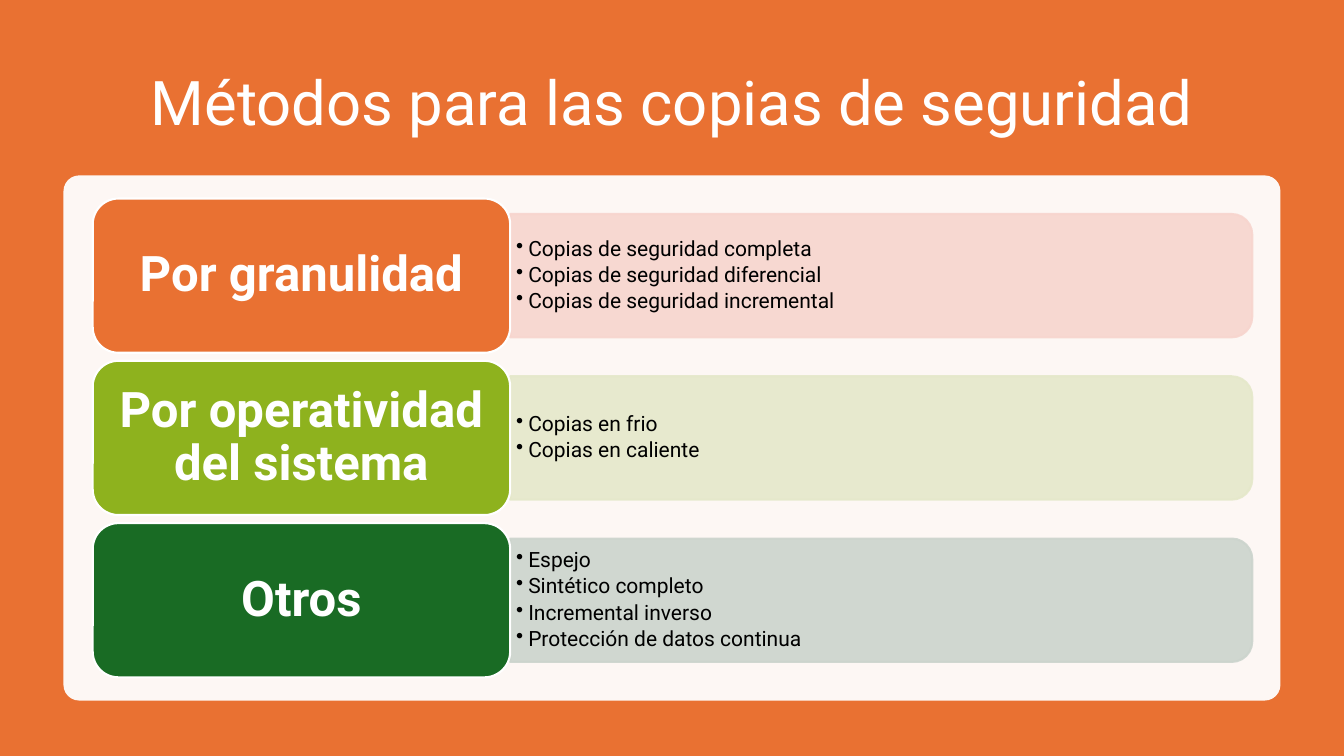
from lxml import etree
from pptx import Presentation
from pptx.dml.color import RGBColor
from pptx.enum.shapes import MSO_SHAPE
from pptx.enum.text import MSO_ANCHOR, PP_ALIGN
from pptx.oxml.ns import qn
from pptx.util import Inches, Pt

FONT = "Roboto"
WHITE = RGBColor(0xFF, 0xFF, 0xFF)
BLACK = RGBColor(0x00, 0x00, 0x00)
ORANGE = RGBColor(0xE9, 0x71, 0x32)
LIME = RGBColor(0x8E, 0xB2, 0x1E)
GREEN = RGBColor(0x19, 0x6B, 0x24)
PALE_RED = RGBColor(0xF7, 0xD5, 0xCE)
PALE_LIME = RGBColor(0xE5, 0xE8, 0xCA)
PALE_GREEN = RGBColor(0xCC, 0xD4, 0xCD)
RECT = MSO_SHAPE.RECTANGLE
ROUNDED = MSO_SHAPE.ROUNDED_RECTANGLE
ROUND_TOP = MSO_SHAPE.ROUND_2_SAME_RECTANGLE
MIDDLE = MSO_ANCHOR.MIDDLE
CENTER = PP_ALIGN.CENTER
LEFT = PP_ALIGN.LEFT

METHODS = [
    ("Por granulidad", ORANGE, PALE_RED,
     ["Copias de seguridad completa", "Copias de seguridad diferencial",
      "Copias de seguridad incremental"]),
    ("Por operatividad del sistema", LIME, PALE_LIME,
     ["Copias en frio", "Copias en caliente"]),
    ("Otros", GREEN, PALE_GREEN,
     ["Espejo", "Sintético completo", "Incremental inverso",
      "Protección de datos continua"]),
]


def set_alpha(fill_parent, percent):
    color = fill_parent.find(qn("a:solidFill"))[0]
    etree.SubElement(color, qn("a:alpha"), val=str(percent * 1000))


def add_box(slide, kind, x, y, w, h, fill, line=None, alpha=100):
    sp = slide.shapes.add_shape(kind, Inches(x), Inches(y), Inches(w), Inches(h))
    sp.shadow.inherit = False
    sp.fill.solid()
    sp.fill.fore_color.rgb = fill
    if line is None:
        sp.line.fill.background()
    else:
        sp.line.color.rgb = line
        sp.line.width = Pt(1.5)
    if alpha < 100:
        spPr = sp.fill._xPr
        set_alpha(spPr, alpha)
        if line is not None:
            set_alpha(spPr.find(qn("a:ln")), alpha)
    return sp


def write(sp, lines, size, color, align, inset_x, inset_y, bold=False, bullets=False):
    tf = sp.text_frame
    tf.word_wrap = True
    tf.vertical_anchor = MIDDLE
    tf.margin_left = tf.margin_right = Inches(inset_x)
    tf.margin_top = tf.margin_bottom = Inches(inset_y)
    tf.text = "\n".join(lines)
    for p in tf.paragraphs:
        p.alignment = align
        p.line_spacing = 0.9
        if bullets:
            p.space_after = Pt(2.6)
            pPr = p._p.get_or_add_pPr()
            pPr.set("marL", str(Inches(0.12)))
            pPr.set("indent", str(-Inches(0.12)))
            etree.SubElement(pPr, qn("a:buChar"), char="•")
        for r in p.runs:
            r.font.name = FONT
            r.font.size = Pt(size)
            r.font.bold = bold
            r.font.color.rgb = color


def add_text(slide, x, y, w, h, *args, **kwargs):
    sp = slide.shapes.add_textbox(Inches(x), Inches(y), Inches(w), Inches(h))
    write(sp, *args, **kwargs)


def add_method(slide, x, y, w, h, method):
    label, color, pale, items = method
    label_w, bar_h = 0.36 * w, 0.8 * h
    bar_x, bar_w = x + label_w, w - label_w
    # Pale bar: turned a quarter so its round corners face right
    bar = add_box(slide, ROUND_TOP, bar_x + (bar_w - bar_h) / 2,
                  y + (h - bar_w) / 2, bar_h, bar_w, pale, pale, 90)
    bar.rotation = 90
    # Bulleted items
    add_text(slide, bar_x, y + (h - 1.11) / 2, bar_w - 0.06, 1.11,
             items, 15, BLACK, LEFT, 0.06, 0.03, bullets=True)
    # Label card
    card = add_box(slide, ROUNDED, x, y, label_w, h, color, WHITE)
    write(card, [label], 35, WHITE, CENTER, 0.15, 0.07, bold=True)


def add_methods(slide, x, y, w, row_h, gap):
    for i, method in enumerate(METHODS):
        add_method(slide, x, y + i * (row_h + gap), w, row_h, method)


def main():
    prs = Presentation()
    prs.slide_width, prs.slide_height = Inches(13.33), Inches(7.5)
    slide = prs.slides.add_slide(prs.slide_layouts[6])

    # Background, title and panel
    add_box(slide, RECT, 0, 0, 13.33, 7.5, ORANGE)
    add_text(slide, 0.92, 0.5, 11.5, 1.1,
             ["Métodos para las copias de seguridad"], 44, WHITE, CENTER, 0.1, 0.05)
    panel = add_box(slide, ROUNDED, 0.63, 1.74, 12.07, 5.21, WHITE, alpha=95)
    panel.adjustments[0] = 0.03

    # Backup methods
    add_methods(slide, 0.92, 1.97, 11.5, 1.53, 0.08)
    prs.save("out.pptx")


if __name__ == "__main__":
    main()
